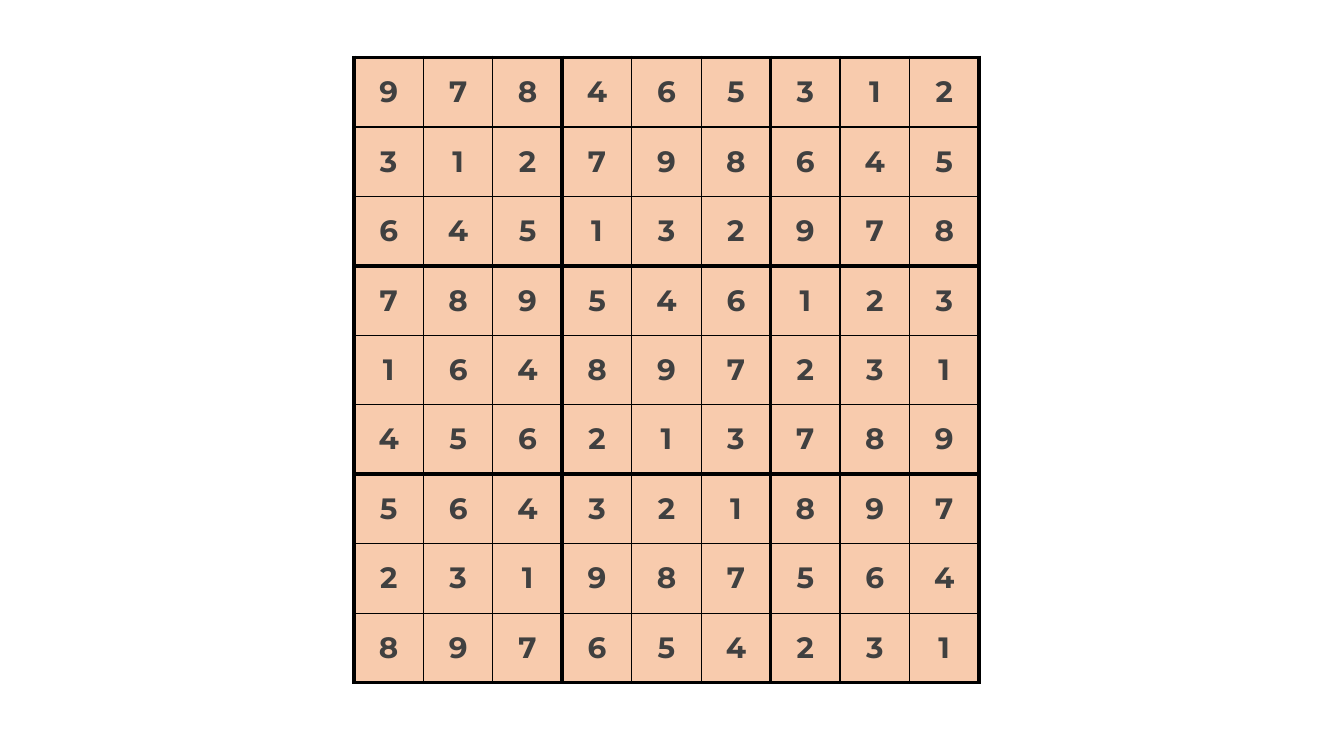
from lxml import etree
from pptx import Presentation
from pptx import util as u
from pptx.dml.color import RGBColor
from pptx.enum import text
from pptx.oxml.ns import qn

# Digits of the sudoku, one string per row
ROWS = [
    "978465312", "312798645", "645132978",
    "789546123", "164897231", "456213789",
    "564321897", "231987564", "897654231",
]
BOX = 3
CELL_SIZE = 1.75
THIN, THICK = 1, 3


def color(hex_string):
    return RGBColor.from_string(hex_string)


def write_text(frame, content, font="Montserrat", size=21, bold=True,
               font_color="404040", align=text.PP_ALIGN.CENTER):
    paragraph = frame.paragraphs[0]
    paragraph.alignment = align
    run = paragraph.add_run()
    run.text = content
    run.font.name = font
    run.font.size = u.Pt(size)
    run.font.bold = bold
    run.font.color.rgb = color(font_color)


class SudokuSlide:
    cell_fill = "F8CBAD"
    line_color = "000000"

    def __init__(self, presentation):
        self.slide = presentation.slides.add_slide(presentation.slide_layouts[6])

    def border(self, cell, side, width):
        properties = cell._tc.get_or_add_tcPr()
        line = etree.SubElement(properties, qn("a:" + side), w=str(u.Pt(width)))
        fill = etree.SubElement(line, qn("a:solidFill"))
        etree.SubElement(fill, qn("a:srgbClr"), val=self.line_color)

    def cell(self, cell, digit, row, column):
        # Edges of each box are thick; borders must precede the fill
        edges = {"lnL": column, "lnR": column + 1, "lnT": row, "lnB": row + 1}
        for side, position in edges.items():
            self.border(cell, side, THIN if position % BOX else THICK)
        cell.fill.solid()
        cell.fill.fore_color.rgb = color(self.cell_fill)
        cell.vertical_anchor = text.MSO_ANCHOR.MIDDLE
        cell.margin_left = cell.margin_right = u.Cm(0.3)
        cell.margin_top = cell.margin_bottom = u.Cm(0.15)
        write_text(cell.text_frame, digit)

    def grid(self, rows, left, top, cell_size):
        count = len(rows)
        side = u.Cm(cell_size * count)
        table = self.slide.shapes.add_table(
            count, count, u.Cm(left), u.Cm(top), side, side).table
        table.first_row = table.horz_banding = False
        for column in table.columns:
            column.width = u.Cm(cell_size)
        for row, digits in enumerate(rows):
            table.rows[row].height = u.Cm(cell_size)
            for column, digit in enumerate(digits):
                self.cell(table.cell(row, column), digit, row, column)


# Presentation
presentation = Presentation()
presentation.slide_width = u.Cm(33.87)
presentation.slide_height = u.Cm(19.05)

# Sudoku grid
SudokuSlide(presentation).grid(ROWS, left=8.92, top=1.45, cell_size=CELL_SIZE)

presentation.save("out.pptx")
